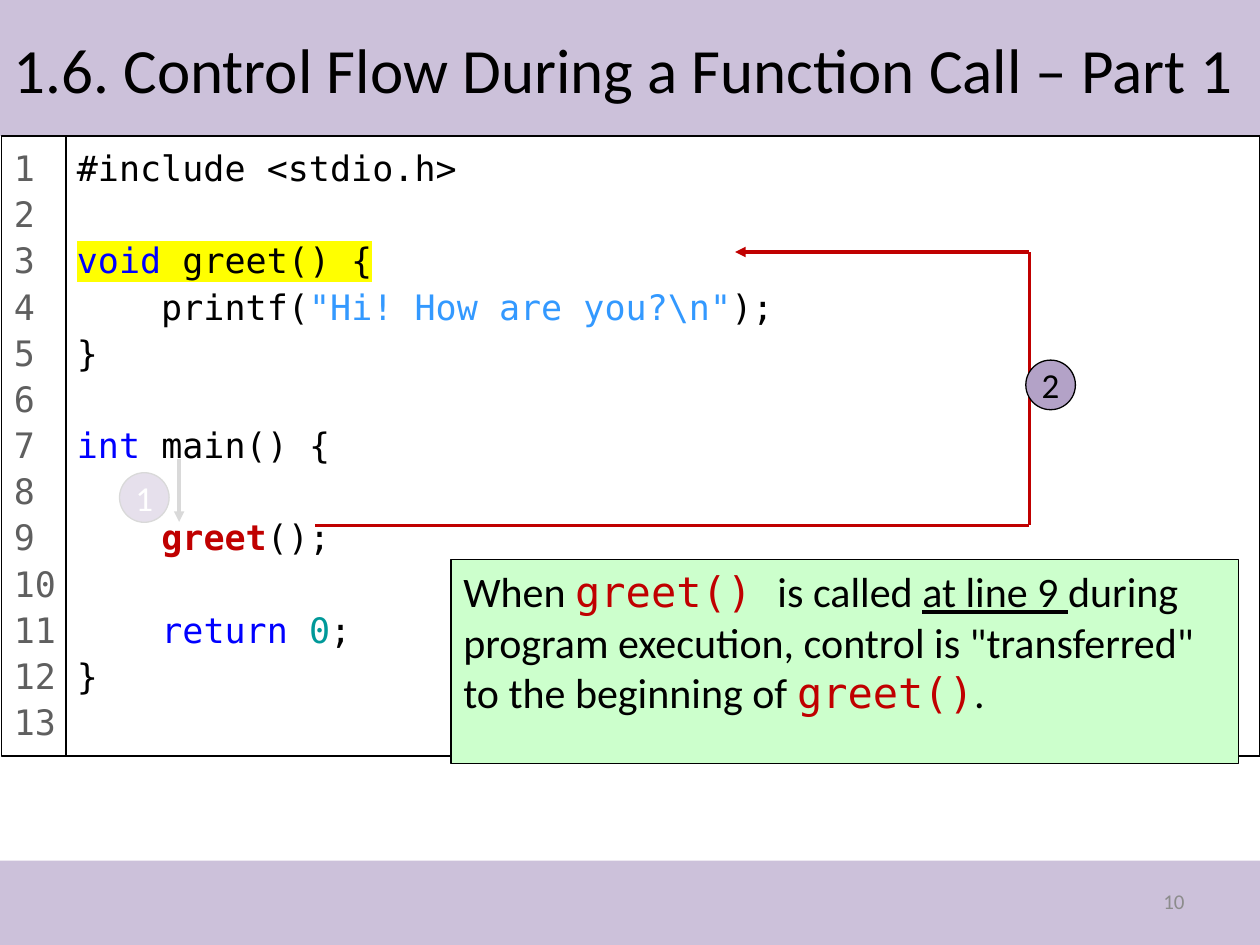
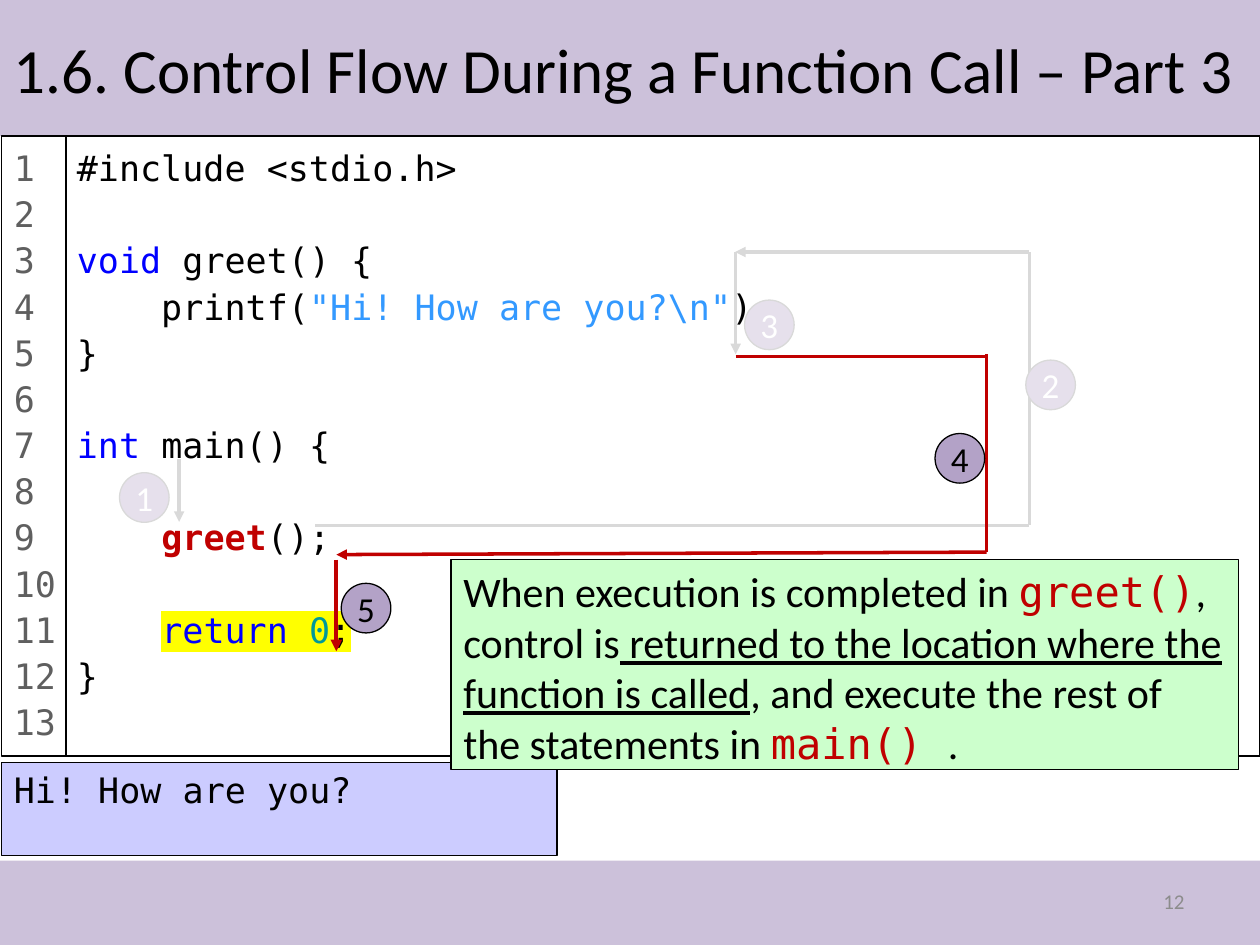
from lxml import etree
from pptx import Presentation, util as u
from pptx.dml import color as col
from pptx.enum import shapes, text
from pptx.oxml import ns

SANS, MONO = "Calibri", "DejaVu Sans Mono"
BLACK, WHITE, RED, GRAY = "000000", "FFFFFF", "C00000", "D9D9D9"
BLUE, SKY, TEAL, LILAC = "0000FF", "3399FF", "009999", "CCC1DA"
RECT, OVAL = shapes.MSO_SHAPE.RECTANGLE, shapes.MSO_SHAPE.OVAL
TOP, MID = text.MSO_ANCHOR.TOP, text.MSO_ANCHOR.MIDDLE
LEFT, RIGHT, CENTER = text.PP_ALIGN.LEFT, text.PP_ALIGN.RIGHT, text.PP_ALIGN.CENTER


def hue(code):
    return col.RGBColor.from_string(code)


def say(slide, at, rows, kind=RECT, fill=None, edge=None, anchor=TOP, align=LEFT,
        inset=(0.25, 0.13), wrap=True, space=None, **base):
    place = [u.Cm(n) for n in at]
    if fill:
        box = slide.shapes.add_shape(kind, *place)
        box.shadow.inherit = False
        box.fill.solid()
        box.fill.fore_color.rgb = hue(fill)
        if edge:
            box.line.color.rgb = hue(edge)
            box.line.width = u.Pt(0.75)
        else:
            box.line.fill.background()
    else:
        box = slide.shapes.add_textbox(*place)
    frame = box.text_frame
    frame.word_wrap = wrap
    frame.vertical_anchor = anchor
    frame.margin_left = frame.margin_right = u.Cm(inset[0])
    frame.margin_top = frame.margin_bottom = u.Cm(inset[1])
    for i, row in enumerate(rows):
        para = frame.add_paragraph() if i else frame.paragraphs[0]
        para.alignment = align
        if space:
            para.line_spacing = space
        for words, extra in row:
            form = {**base, **extra}
            run = para.add_run()
            run.text = words
            font = run.font
            font.size = u.Pt(form["size"])
            font.bold = form.get("bold", False)
            font.underline = form.get("under", False)
            font.color.rgb = hue(form["color"])
            if form.get("mark"):
                light = etree.Element(ns.qn("a:highlight"))
                etree.SubElement(light, ns.qn("a:srgbClr"), val=form["mark"])
                font._element.find(ns.qn("a:solidFill")).addnext(light)
            font.name = form["font"]
        if not row:
            end = etree.SubElement(para._p, ns.qn("a:endParaRPr"), sz=str(base["size"] * 100))
            etree.SubElement(end, ns.qn("a:latin"), typeface=base["font"])


TAB = ("    ", {})
CODE = [
    [("#include <stdio.h>", {})],
    [],
    [("void", {"color": BLUE}), (" greet() {", {})],
    [TAB, ("printf(", {}), ('"Hi! How are you?\\n"', {"color": SKY}), (");", {})],
    [("}", {})],
    [],
    [("int", {"color": BLUE}), (" main() {", {})],
    [],
    [TAB, ("greet", {"color": RED, "bold": True}), ("();", {})],
    [],
    [TAB, ("return ", {"color": BLUE}), ("0", {"color": TEAL}), (";", {})],
    [("}", {})],
]
NAME = {"font": MONO, "color": RED}
LINE = {"under": True}
STEPS = {
    1: ((2.41, 9.53), [(3.61, 9.25, 3.61, 10.52, True)]),
    2: ((20.68, 7.26), [(20.75, 5.08, 14.82, 5.08, True),
                        (6.35, 10.59, 20.75, 10.59, False),
                        (20.75, 5.08, 20.75, 10.59, False)]),
    3: ((15.01, 6.05), [(14.83, 5.08, 14.83, 7.14, True)]),
    4: ((18.85, 8.74), [(19.89, 11.13, 6.78, 11.18, True),
                        (19.89, 7.14, 19.89, 11.13, False),
                        (14.83, 7.19, 19.89, 7.19, False)]),
    5: ((6.88, 11.76), [(6.78, 11.28, 6.78, 13.13, True)]),
}
PARTS = [
    {"part": 1, "page": 10, "row": 2, "old": [1], "new": [2], "tall": 4.11, "out": None,
     "note": [("When ", {}), ("greet() ", NAME), ("is called ", {}), ("at line 9 ", LINE),
              ('during program execution, control is "transferred" to the beginning of ', {}),
              ("greet()", NAME), (".", {})]},
    {"part": 3, "page": 12, "row": 10, "old": [1, 2, 3], "new": [4, 5], "tall": 4.24,
     "out": "Hi! How are you?",
     "note": [("When execution is completed in ", {}), ("greet()", NAME),
              (", control is", {}),
              (" returned to the location where the function is called", LINE),
              (", and execute the rest of the statements in ", {}),
              ("main() ", NAME), (".", {})]},
]

deck = Presentation()
deck.slide_width, deck.slide_height = u.Cm(25.4), u.Cm(19.05)

for part in PARTS:
    slide = deck.slides.add_slide(deck.slide_layouts[6])
    for top, tall in ((0, 2.74), (17.35, 1.7)):
        say(slide, (0, top, 25.4, tall), [], fill=LILAC, size=12, font=SANS)
    say(slide, (18.21, 17.65, 5.92, 1.02), [[(str(part["page"]), {})]],
        anchor=MID, align=RIGHT, size=12, font=SANS, color="8C8C8C")

    rows = [[(words, {**form, "mark": "FFFF00"} if i == part["row"] and words.strip() else form)
             for words, form in row] for i, row in enumerate(CODE)]
    say(slide, (1.3, 2.74, 24.1, 12.5), rows, fill=WHITE, edge=BLACK,
        space=1.1, size=20, font=MONO, color=BLACK)
    say(slide, (0.03, 2.74, 1.3, 12.5), [[(str(n), {})] for n in range(1, 14)],
        fill=WHITE, edge=BLACK, wrap=False, space=1.1, size=20, font=MONO, color="5F5F5F")
    if part["out"]:
        say(slide, (0.03, 15.37, 11.2, 1.88), [[(part["out"], {})]],
            fill="CCCCFF", edge=BLACK, size=20, font=MONO, color=BLACK)
    title = f"1.6. Control Flow During a Function Call – Part {part['part']}"
    say(slide, (0.03, 0, 25.37, 2.74), [[(title, {})]],
        anchor=MID, size=36, font=SANS, color=BLACK)
    say(slide, (9.09, 11.28, 15.88, part["tall"]), [part["note"]],
        fill="CCFFCC", edge=BLACK, size=24, font=SANS, color=BLACK)

    for step in part["old"] + part["new"]:
        now = step in part["new"]
        spot, lines = STEPS[step]
        for *ends, head in lines:
            link = slide.shapes.add_connector(
                shapes.MSO_CONNECTOR.STRAIGHT, *[u.Cm(n) for n in ends])
            link.line.color.rgb = hue(RED if now else GRAY)
            link.line.width = u.Pt(2.25 if step == 5 else 2)
            if head:
                etree.SubElement(link.line._get_or_add_ln(), ns.qn("a:tailEnd"), type="triangle")
            etree.SubElement(link._element.spPr, ns.qn("a:effectLst"))
        say(slide, (*spot, 1, 1), [[(str(step), {})]], kind=OVAL,
            fill="B3A2C7" if now else "E6E0EC", edge=BLACK if now else GRAY,
            anchor=MID, align=CENTER, inset=(0, 0), size=20, font=SANS,
            color=BLACK if now else WHITE)

deck.save("out.pptx")
